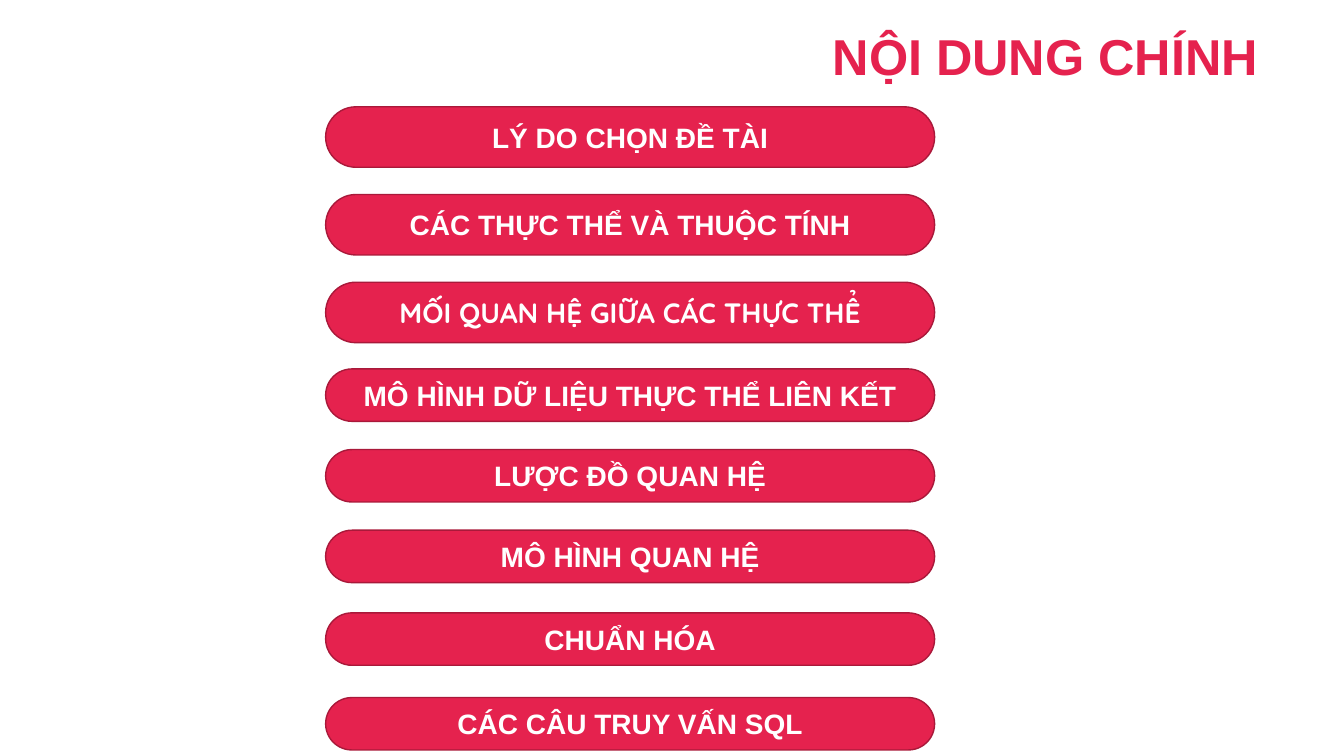
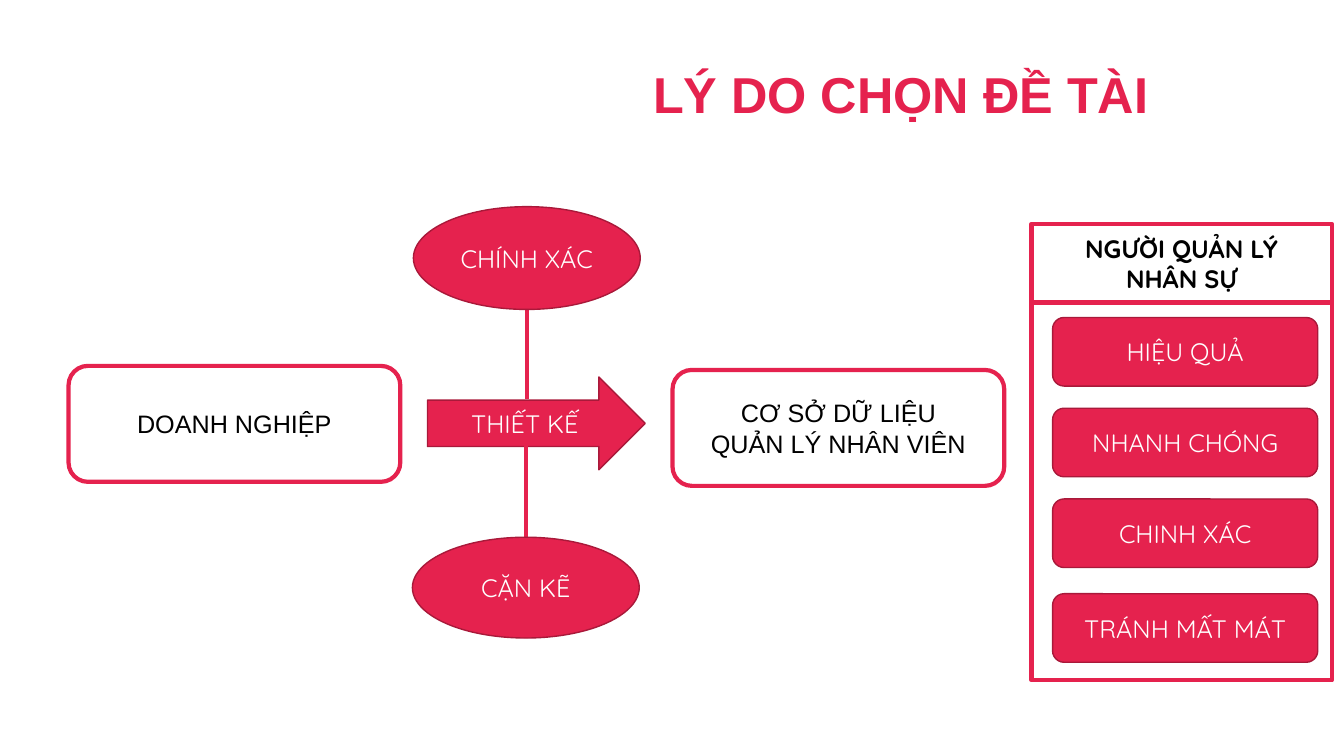
from lxml import etree
from pptx import Presentation, util as u
from pptx.dml.color import RGBColor
from pptx.enum import shapes, text
from pptx.oxml.ns import qn

PX = 9144
HUES = {"red": "E5224E", "edge": "A9193A", "white": "FFFFFF", "black": "000000"}
KINDS = shapes.MSO_SHAPE


def hue(name):
    return RGBColor.from_string(HUES[name])


def write(frame, words, size=18, font="Arial", color="white", bold=False, space=1.0):
    frame.word_wrap = True
    frame.vertical_anchor = text.MSO_ANCHOR.MIDDLE
    for i, line in enumerate(words.split("\n")):
        para = frame.add_paragraph() if i else frame.paragraphs[0]
        para.alignment = text.PP_ALIGN.CENTER
        para.line_spacing = space
        run = para.add_run()
        run.text = line
        run.font.size = u.Pt(size)
        run.font.name = font
        run.font.bold = bold
        run.font.color.rgb = hue(color)


class Deck:
    def __init__(self):
        self.prs = Presentation()
        self.prs.slide_width = u.Inches(13.33)
        self.prs.slide_height = u.Inches(7.5)
        self.slide = None

    def page(self, words, *spot):
        self.slide = self.prs.slides.add_slide(self.prs.slide_layouts[6])
        box = self.slide.shapes.add_textbox(*[n * PX for n in spot])
        write(box.text_frame, words, size=36, color="red", bold=True, space=0.9)

    def shape(self, kind, spot, words, fill, line, width, **form):
        item = self.slide.shapes.add_shape(kind, *[n * PX for n in spot])
        item.shadow.inherit = False
        item.fill.solid()
        item.fill.fore_color.rgb = hue(fill)
        item.line.color.rgb = hue(line)
        item.line.width = u.Pt(width)
        if words:
            write(item.text_frame, words, **form)
        return item

    def solid(self, kind, spot, words, font="Quicksand", **form):
        return self.shape(kind, spot, words, "red", "edge", 1, font=font, **form)

    def frame(self, kind, spot, words="", **form):
        return self.shape(kind, spot, words, "white", "red", 3, color="black", **form)

    def pill(self, spot, words, font):
        item = self.solid(KINDS.ROUNDED_RECTANGLE, spot, words, font=font, size=20, bold=True)
        item.adjustments[0] = 0.5

    def line(self, *ends):
        item = self.slide.shapes.add_connector(
            shapes.MSO_CONNECTOR.STRAIGHT, *[n * PX for n in ends])
        item.line.color.rgb = hue("red")
        item.line.width = u.Pt(3)
        etree.SubElement(item._element.spPr, qn("a:effectLst"))


def agenda(deck):
    deck.page("NỘI DUNG CHÍNH", 700, 6, 674, 106)
    groups = [
        (106, 87, 60, [("LÝ DO CHỌN ĐỀ TÀI", "Arial"),
                       ("CÁC THỰC THỂ VÀ THUỘC TÍNH", "Arial"),
                       ("MỐI QUAN HỆ GIỮA CÁC THỰC THỂ", "Quicksand")]),
        (366, 80, 52, [("MÔ HÌNH DỮ LIỆU THỰC THỂ LIÊN KẾT", "Arial"),
                       ("LƯỢC ĐỒ QUAN HỆ", "Arial"),
                       ("MÔ HÌNH QUAN HỆ", "Arial")]),
        (608, 84, 52, [("CHUẨN HÓA", "Arial"),
                       ("CÁC CÂU TRUY VẤN SQL", "Arial")]),
    ]
    for top, step, high, items in groups:
        for i, (words, font) in enumerate(items):
            deck.pill((323, top + i * step, 604, high), words, font)


def reason(deck):
    deck.page("LÝ DO CHỌN ĐỀ TÀI", 579, 39, 629, 115)
    deck.frame(KINDS.ROUNDED_RECTANGLE, (68, 363, 329, 115), "DOANH NGHIỆP")
    deck.frame(KINDS.ROUNDED_RECTANGLE, (667, 367, 329, 115),
               "CƠ SỞ DỮ LIỆU\nQUẢN LÝ NHÂN VIÊN")

    deck.solid(KINDS.RIGHT_ARROW, (424, 374, 216, 92), "THIẾT KẾ")
    deck.line(523, 308, 523, 396)
    deck.line(522, 438, 522, 533)
    deck.solid(KINDS.OVAL, (410, 205, 225, 102), "CHÍNH XÁC")
    deck.solid(KINDS.OVAL, (409, 533, 225, 100), "CẶN KẼ")

    deck.frame(KINDS.RECTANGLE, (1023, 300, 298, 375))
    deck.frame(KINDS.RECTANGLE, (1023, 222, 298, 78), "NGƯỜI QUẢN LÝ\nNHÂN SỰ",
               font="Quicksand", bold=True)
    gains = [("HIỆU QUẢ", 315), ("NHANH CHÓNG", 405),
             ("CHINH XÁC", 495), ("TRÁNH MẤT MÁT", 589)]
    for words, top in gains:
        deck.solid(KINDS.ROUNDED_RECTANGLE, (1044, top, 263, 68), words)


def main():
    deck = Deck()
    agenda(deck)
    reason(deck)
    deck.prs.save("out.pptx")


if __name__ == "__main__":
    main()
